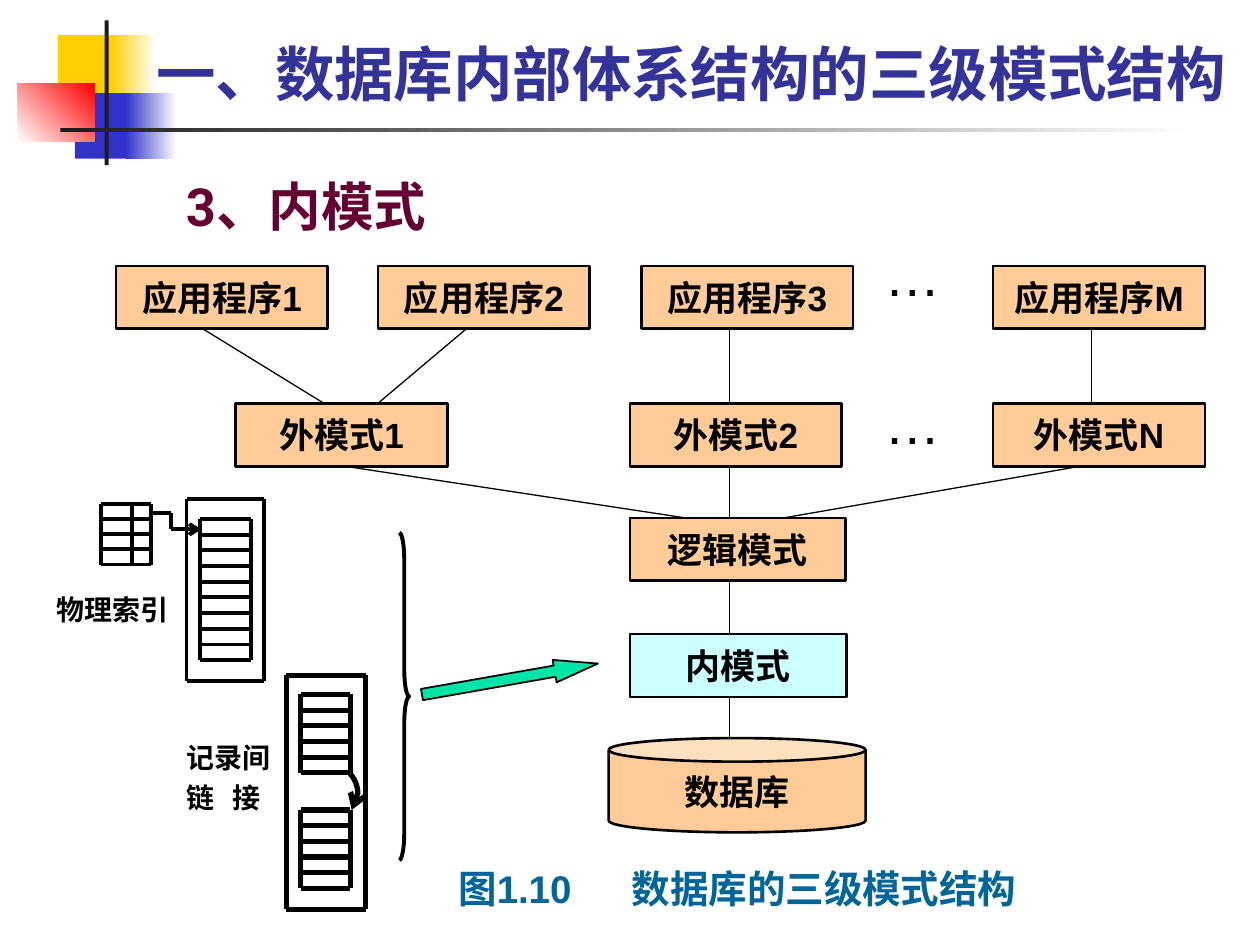
from dataclasses import dataclass

from pptx import Presentation
from pptx.dml.color import RGBColor
from pptx.enum.shapes import MSO_CONNECTOR as Link, MSO_SHAPE as Preset
from pptx.enum.text import MSO_ANCHOR as Anchor, PP_ALIGN as Align
from pptx.oxml.ns import qn
from pptx.util import Cm, Pt
from lxml import etree

BLACK, WHITE = "000000", "FFFFFF"
PEACH, AQUA, GREEN = "FFCC99", "CCFFFF", "00E4A8"


@dataclass
class Box:
    """A region in centimetres; its contents are placed from its corner."""
    left: float
    top: float
    width: float
    height: float

    def inner(self, x, y, width, height):
        return Box(self.left + x, self.top + y, width, height)

    def point(self, x, y):
        return Cm(self.left + x), Cm(self.top + y)

    def frame(self):
        return Cm(self.left), Cm(self.top), Cm(self.width), Cm(self.height)


def color(value):
    return RGBColor.from_string(value)


def set_line(shape, line_color, width):
    shape.line.color.rgb = color(line_color)
    shape.line.width = Pt(width)


def add_arrowhead(shape):
    outline = shape._element.spPr.find(qn("a:ln"))
    etree.SubElement(outline, qn("a:tailEnd"), type="arrow")


def add_preset(page, kind, box, fill=None, line_width=0, adjustments=()):
    shape = page.shapes.add_shape(kind, *box.frame())
    shape.shadow.inherit = False
    for index, value in enumerate(adjustments):
        shape.adjustments[index] = value
    if fill:
        shape.fill.solid()
        shape.fill.fore_color.rgb = color(fill)
    else:
        shape.fill.background()
    if line_width:
        set_line(shape, BLACK, line_width)
    else:
        shape.line.fill.background()
    return shape


def add_gradient(page, box, start, end, angle=0):
    shape = add_preset(page, Preset.RECTANGLE, box)
    shape.fill.gradient()
    shape.fill.gradient_angle = angle
    for stop, value, position in zip(shape.fill.gradient_stops, (start, end), (0, 1)):
        stop.color.rgb = color(value)
        stop.position = position


def write(shape, text, size, font="Arial", ink=BLACK, bold=True,
          align=Align.LEFT, anchor=Anchor.TOP, spacing=None, tab=None, wrap=True):
    frame = shape.text_frame
    frame.word_wrap = wrap
    frame.vertical_anchor = anchor
    frame.text = text
    for para in frame.paragraphs:
        para.alignment = align
        if spacing:
            para.line_spacing = spacing
        if tab:
            tabs = etree.SubElement(para._p.get_or_add_pPr(), qn("a:tabLst"))
            etree.SubElement(tabs, qn("a:tab"), pos=str(Cm(tab)), algn="l")
        for span in para.runs:
            span.font.name = font
            span.font.size = Pt(size)
            span.font.bold = bold
            span.font.color.rgb = color(ink)


def add_text(page, box, text, size, **style):
    write(page.shapes.add_textbox(*box.frame()), text, size, **style)


def connect(page, box, start, end, width=0.75):
    line = page.shapes.add_connector(Link.STRAIGHT, *box.point(*start), *box.point(*end))
    set_line(line, BLACK, width)
    etree.SubElement(line._element.spPr, qn("a:effectLst"))
    return line


def draw_grid(page, box, rows, width, columns=()):
    """Ruled block with equal rows; columns are extra vertical lines."""
    for row in range(rows + 1):
        y = box.height * row / rows
        connect(page, box, (0, y), (box.width, y), width)
    for x in (0, *columns, box.width):
        connect(page, box, (x, 0), (x, box.height), width)


def draw_ornament(page, box):
    # Coloured squares fading out
    add_preset(page, Preset.RECTANGLE, box.inner(0.81, 0.3, 1.22, 1.32), "FFCF01")
    add_gradient(page, box.inner(1.88, 0.3, 0.91, 1.32), "FFCF01", WHITE)
    add_preset(page, Preset.RECTANGLE, box.inner(1.15, 1.47, 1.17, 1.32), "3333CC")
    add_gradient(page, box.inner(2.18, 1.47, 1.02, 1.32), "3333CC", WHITE)
    add_gradient(page, box.inner(0, 1.27, 1.55, 1.17), WHITE, "FF0000", 45)
    # Crossing bars
    add_preset(page, Preset.RECTANGLE, box.inner(1.75, 0, 0.08, 2.92), "1C1C1C")
    add_gradient(page, box.inner(0.86, 2.18, 22.86, 0.08), "1C1C1C", WHITE)


def draw_headings(page, box):
    add_text(page, box.inner(0, 0, 22.35, 1.73), "一、数据库内部体系结构的三级模式结构", 34,
             font="Roboto", ink="333399", anchor=Anchor.BOTTOM)
    add_text(page, box.inner(0.6, 2.54, 20, 1.8), "3、内模式", 30,
             font="Roboto", ink="660033", spacing=1.2)


def draw_hierarchy(page, box):
    # Links between levels
    trunk = 12.37
    links = [
        ((1.75, 1.27), (4.19, 2.77)), ((7.06, 1.27), (5.28, 2.77)),
        ((19.66, 1.27), (19.66, 2.77)), ((4.62, 4.04), (11.48, 5.08)),
        ((19.43, 4.04), (13.46, 5.08)),
    ]
    levels = [(1.27, 2.77), (4.04, 5.08), (6.35, 7.42), (8.69, 9.52)]
    links += [((trunk, top), (trunk, bottom)) for top, bottom in levels]
    for start, end in links:
        connect(page, box, start, end)

    # Levels from applications down to the internal schema
    nodes = [
        ("应用程序1", 0, 0, 4.27, PEACH), ("应用程序2", 5.28, 0, 4.27, PEACH),
        ("应用程序3", 10.59, 0, 4.27, PEACH), ("应用程序M", 17.68, 0, 4.27, PEACH),
        ("外模式1", 2.41, 2.77, 4.27, PEACH), ("外模式2", 10.36, 2.77, 4.27, PEACH),
        ("外模式N", 17.68, 2.77, 4.27, PEACH),
        ("逻辑模式", 10.36, 5.08, 4.34, PEACH), ("内模式", 10.36, 7.42, 4.37, AQUA),
    ]
    centred = dict(align=Align.CENTER, anchor=Anchor.MIDDLE, wrap=False)
    for label, x, y, width, fill in nodes:
        node = add_preset(page, Preset.RECTANGLE, box.inner(x, y, width, 1.27), fill, 1.5)
        write(node, label, 20, **centred)
    database = add_preset(page, Preset.CAN, box.inner(9.93, 9.52, 5.18, 1.9), PEACH, 1.5, [0.25])
    write(database, "数据库", 20, **centred)

    for y in (-0.64, 2.34):
        add_text(page, box.inner(15.24, y, 2.2, 1.6), "…", 32, bold=False)


def draw_storage(page, box):
    # Labels
    labels = [("物理索引", 0, 1.5, 3.15, 1.4, None),
              ("记录间\n链\t接", 2.62, 4.6, 2.51, 1.2, 0.93)]
    for text, x, y, width, spacing, tab in labels:
        label = add_preset(page, Preset.RECTANGLE, box.inner(x, y, width, 1.7), WHITE)
        write(label, text, 16, font="Times New Roman", align=Align.JUSTIFY,
              spacing=spacing, tab=tab)

    # Index table pointing into a block of records
    draw_grid(page, box.inner(1.14, 0.1, 1.02, 1.22), 4, 2.25, [0.64])
    draw_grid(page, box.inner(2.87, 0, 1.57, 3.66), 1, 2.25)
    draw_grid(page, box.inner(3.15, 0.4, 1.02, 2.85), 9, 2.25)
    steps = [(2.16, 0.28), (2.56, 0.28), (2.56, 0.61), (3.17, 0.61)]
    for start, end in zip(steps, steps[1:]):
        pointer = connect(page, box, start, end, 2.25)
    add_arrowhead(pointer)

    # Two record groups joined by a curved link
    draw_grid(page, box.inner(4.88, 3.55, 1.6, 4.72), 1, 3)
    for y in (3.94, 6.27):
        draw_grid(page, box.inner(5.17, y, 1, 1.58), 5, 3)
    points = []
    for step in range(13):
        t = step / 12
        weights = ((1 - t) ** 3, 3 * t * (1 - t) ** 2, 3 * t * t * (1 - t), t ** 3)
        x = sum(w * v for w, v in zip(weights, (6.17, 6.37, 6.37, 6.2)))
        y = sum(w * v for w, v in zip(weights, (5.54, 5.76, 6.09, 6.27)))
        points.append(box.point(x, y))
    builder = page.shapes.build_freeform(*points[0])
    builder.add_line_segments(points[1:], close=False)
    curve = builder.convert_to_shape()
    curve.shadow.inherit = False
    curve.fill.background()
    set_line(curve, BLACK, 3)
    add_arrowhead(curve)

    # Brace and arrow towards the internal schema
    add_preset(page, Preset.RIGHT_BRACE, box.inner(7.16, 0.68, 0.2, 6.6), None, 2.25, [2.77, 0.5])
    arrow = add_preset(page, Preset.RIGHT_ARROW, box.inner(7.59, 3.4, 3.6, 0.46),
                       GREEN, 1, [0.5, 1.92])
    arrow.rotation = 350


def main():
    deck = Presentation()
    deck.slide_width, deck.slide_height = Cm(25.4), Cm(19.05)
    page = deck.slides.add_slide(deck.slide_layouts[6])
    draw_ornament(page, Box(0.36, 0.41, 23.72, 2.92))
    draw_headings(page, Box(2.9, 0.58, 22.35, 4.4))
    draw_hierarchy(page, Box(2.34, 5.36, 21.95, 11.42))
    draw_storage(page, Box(0.89, 10.06, 11.2, 8.27))
    add_text(page, Box(8.99, 17.32, 14.81, 1.19), "图1.10\t数据库的三级模式结构", 22,
             ink="006699", tab=3.5)
    deck.save("out.pptx")


if __name__ == "__main__":
    main()
